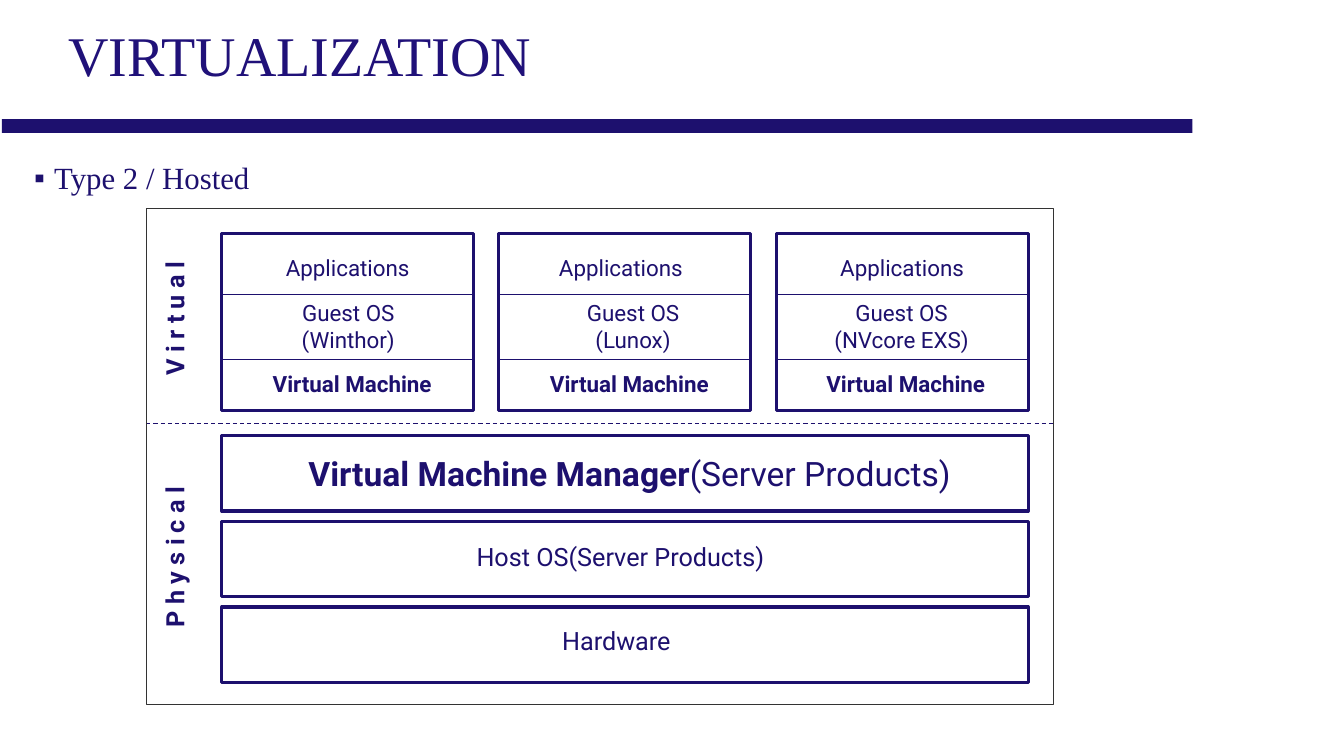
import pptx
import pptx.dml.color
import pptx.enum.dml
import pptx.enum.shapes
import pptx.enum.text
import pptx.oxml
import pptx.oxml.ns
import pptx.util

Pt = pptx.util.Pt
Shapes = pptx.enum.shapes.MSO_SHAPE
Align = pptx.enum.text.PP_ALIGN
NAVY = pptx.dml.color.RGBColor(0x1D, 0x10, 0x6E)
TITLE_BLUE = pptx.dml.color.RGBColor(0x20, 0x11, 0x79)
GREY = pptx.dml.color.RGBColor(0x33, 0x33, 0x33)
SERIF = "Times New Roman"
SANS = "Roboto"


def write(para, text, font=SANS, size=16, bold=False, color=NAVY):
    """Add one formatted span; a vertical tab in the text breaks the line."""
    for index, line in enumerate(text.split("\v")):
        if index:
            para.add_line_break()
        span = para.add_run()
        span.text = line
        span.font.name = font
        span.font.size = Pt(size)
        span.font.bold = bold
        span.font.color.rgb = color


class Canvas:
    """Draws on one page; all lengths are in points."""

    def __init__(self, page):
        self.page = page

    def title(self, text, left, top, width, height):
        box = self.page.shapes.title
        box.left, box.top, box.width, box.height = map(Pt, (left, top, width, height))
        box.text_frame.vertical_anchor = pptx.enum.text.MSO_ANCHOR.MIDDLE
        para = box.text_frame.paragraphs[0]
        para.alignment = Align.LEFT
        para.line_spacing = 0.85
        write(para, text, font=SERIF, size=40, color=TITLE_BLUE)

    def rect(self, left, top, width, height, fill=None, line=None, weight=2.25):
        box = self.page.shapes.add_shape(
            Shapes.RECTANGLE, Pt(left), Pt(top), Pt(width), Pt(height))
        box.shadow.inherit = False
        if fill is None:
            box.fill.background()
        else:
            box.fill.solid()
            box.fill.fore_color.rgb = fill
        if line is None:
            box.line.fill.background()
        else:
            box.line.color.rgb = line
            box.line.width = Pt(weight)

    def rule(self, left, y, width, dashed=False):
        line = self.page.shapes.add_connector(
            pptx.enum.shapes.MSO_CONNECTOR.STRAIGHT,
            Pt(left), Pt(y), Pt(left + width), Pt(y))
        line.line.color.rgb = NAVY
        line.line.width = Pt(0.75)
        if dashed:
            line.line.dash_style = pptx.enum.dml.MSO_LINE.DASH
        properties = line._element.spPr
        properties.append(pptx.oxml.parse_xml(
            "<a:effectLst %s/>" % pptx.oxml.ns.nsdecls("a")))

    def text(self, left, top, width, height, text, align=Align.CENTER, **style):
        box = self.page.shapes.add_textbox(Pt(left), Pt(top), Pt(width), Pt(height))
        box.text_frame.word_wrap = True
        para = box.text_frame.paragraphs[0]
        para.alignment = align
        write(para, text, **style)
        return box

    def bullet(self, left, top, width, height, text):
        box = self.text(left, top, width, height, text,
                        align=Align.LEFT, font=SERIF, size=22)
        para = box.text_frame.paragraphs[0]
        para.line_spacing = 0.9
        properties = para._p.get_or_add_pPr()
        properties.set("marL", str(Pt(14.4)))
        properties.set("indent", str(-Pt(14.4)))
        names = pptx.oxml.ns.nsdecls("a")
        for xml in ('<a:buClr %s><a:srgbClr val="%s"/></a:buClr>' % (names, NAVY),
                    '<a:buFont %s typeface="Arial"/>' % names,
                    '<a:buChar %s char="▪"/>' % names):
            properties.append(pptx.oxml.parse_xml(xml))

    def upward_text(self, left, top, width, height, text):
        box = self.text(left, top, width, height, text,
                        align=Align.LEFT, size=18, bold=True)
        box.text_frame._txBody.bodyPr.set("vert", "vert270")


def main():
    deck = pptx.Presentation()
    deck.slide_width, deck.slide_height = Pt(960), Pt(540)
    canvas = Canvas(deck.slides.add_slide(deck.slide_layouts[5]))

    # Heading
    canvas.rect(1.4, 85, 850.3, 10, fill=NAVY)
    canvas.title("VIRTUALIZATION", 41.8, 6.5, 770.4, 72)
    canvas.bullet(17.3, 113, 823, 36, "Type 2 / Hosted")

    # Physical layers
    stack_left, stack_width = 158.4, 576
    for row in range(3):
        canvas.rect(stack_left, 311 + row * 61.3, stack_width, 54, line=NAVY)
    manager = canvas.text(185.8, 319.7, 527.8, 36, "Virtual Machine Manager",
                          size=24, bold=True)
    write(manager.text_frame.paragraphs[0], "(Server Products)", size=24)
    canvas.text(200.2, 383, 486, 29, "Host OS(Server Products)", size=18)
    canvas.text(194.4, 442.8, 491.8, 29, "Hardware", size=18)

    # Virtual machines: guest name, then the centre of each of the three labels
    machines = [
        ("Winthor", 248.4, 248.8, 251.6),
        ("Lunox", 443.5, 452.2, 449.6),
        ("NVcore EXS", 644.4, 644, 647),
    ]
    for column, (guest, app_x, guest_x, machine_x) in enumerate(machines):
        left = stack_left + column * 198
        canvas.rect(left, 167, 180, 126, line=NAVY)
        for y in (210.2, 257):
            canvas.rule(left, y, 180)
        canvas.text(app_x - 75, 177.8, 150, 27, "Applications")
        canvas.text(guest_x - 90, 210.2, 180, 46, f"Guest OS\v({guest})")
        canvas.text(machine_x - 82, 260.6, 164, 27, "Virtual Machine", bold=True)

    # Zones and frame
    canvas.rule(104.4, 302.4, 648, dashed=True)
    canvas.upward_text(110.2, 167, 36, 108, "V i r t u a l")
    canvas.upward_text(110.2, 316.8, 36, 138.2, "P h y s i c a l")
    canvas.rect(104.4, 149, 648, 354.2, line=GREY, weight=0.75)

    deck.save("out.pptx")


if __name__ == "__main__":
    main()
